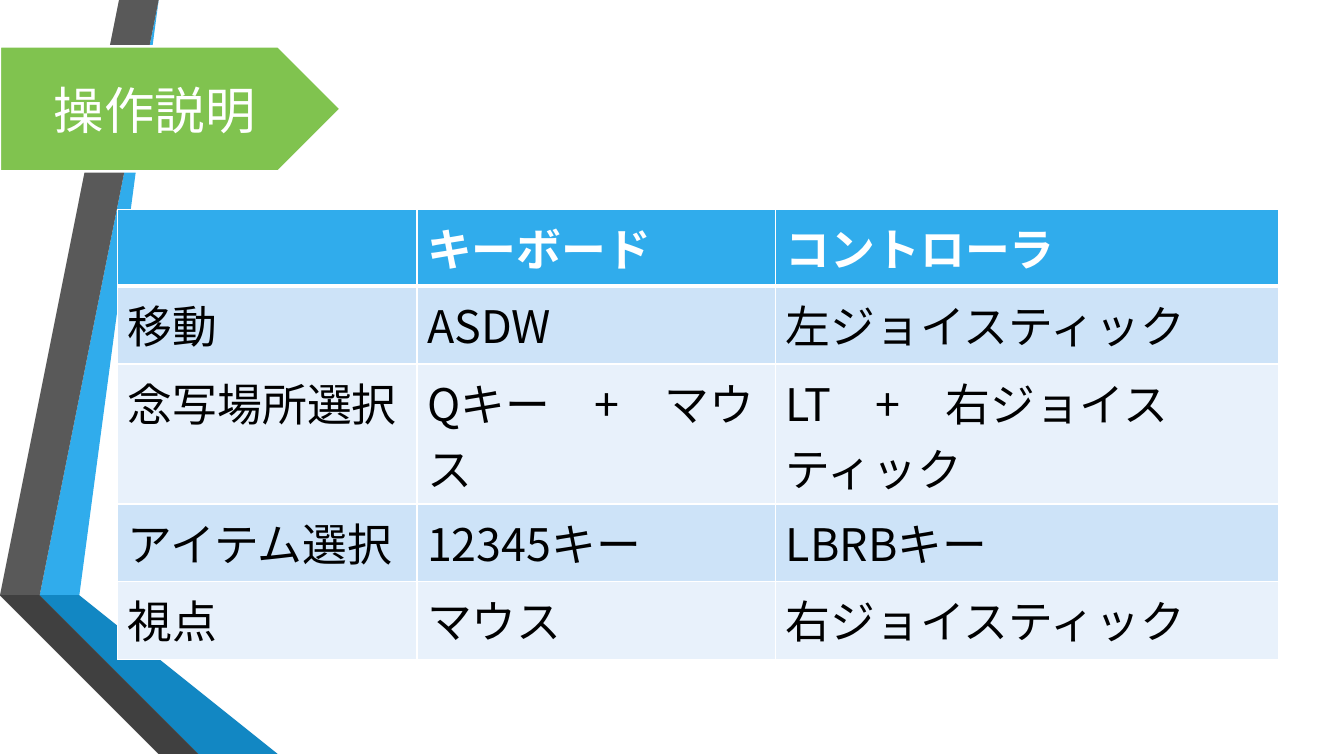
"""Build the slide that explains the keyboard and controller operations."""
from dataclasses import dataclass

from lxml.etree import SubElement
from pptx import Presentation
from pptx.dml.color import RGBColor
from pptx.enum.lang import MSO_LANGUAGE_ID
from pptx.enum.shapes import MSO_SHAPE
from pptx.enum.text import MSO_ANCHOR, PP_ALIGN
from pptx.oxml.ns import qn
from pptx.slide import Slide
from pptx.table import _Cell
from pptx.text.text import _Paragraph
from pptx.util import Cm, Pt

WHITE = RGBColor(0xFF, 0xFF, 0xFF)
BLACK = RGBColor(0x00, 0x00, 0x00)
BLUE = RGBColor(0x30, 0xAC, 0xEC)
MID_BLUE = RGBColor(0x12, 0x87, 0xC3)
DEEP_BLUE = RGBColor(0x0C, 0x5A, 0x82)
GREY = RGBColor(0x59, 0x59, 0x59)
DARK_GREY = RGBColor(0x40, 0x40, 0x40)
CHARCOAL = RGBColor(0x26, 0x26, 0x26)
GREEN = RGBColor(0x80, 0xC3, 0x4F)
ROW_BLUES = (RGBColor(0xCD, 0xE3, 0xF8), RGBColor(0xE8, 0xF1, 0xFB))

TITLE_FONT = "Calibri"
TABLE_FONT = "Noto Sans CJK JP"
COLUMN_WIDTHS = (7.54, 9.04, 12.67)
HEADER_HEIGHT = 1.93
ROW_HEIGHT = 1.96
OPERATIONS = (
    ("", "キーボード", "コントローラ"),
    ("移動", "ASDW", "左ジョイスティック"),
    ("念写場所選択", "Qキー　+　マウス", "LT　+　右ジョイスティック"),
    ("アイテム選択", "12345キー", "LBRBキー"),
    ("視点", "マウス", "右ジョイスティック"),
)


@dataclass(frozen=True)
class Ribbon:
    """One folded band, its corners in centimetres."""

    color: RGBColor
    corners: tuple[tuple[float, float], ...]


RIBBONS = (
    Ribbon(BLUE, ((1.27, 14.68), (1.96, 14.81), (4.39, 0), (3.68, 0))),
    Ribbon(GREY, ((3.53, 0), (2.82, 0), (0.41, 14.55), (1.12, 14.66))),
    Ribbon(CHARCOAL, ((0.41, 14.55), (3.68, 19.05), (3.84, 19.05))),
    Ribbon(DEEP_BLUE, ((1.27, 14.71), (5.28, 19.05), (5.44, 19.05))),
    Ribbon(MID_BLUE, ((1.27, 14.68), (5.44, 19.05), (7.19, 19.05), (1.96, 14.81))),
    Ribbon(DARK_GREY, ((5.13, 19.05), (1.22, 14.81), (1.09, 14.66),
                       (0.41, 14.55), (3.84, 19.05))),
)


def style_text(paragraph: _Paragraph, name: str, size: int, color: RGBColor,
               bold: bool = False) -> None:
    """Set the font of a whole paragraph, Japanese glyphs included."""
    font = paragraph.font
    font.name, font.size, font.bold = name, Pt(size), bold
    font.color.rgb = color
    font.language_id = MSO_LANGUAGE_ID.JAPANESE
    properties = paragraph._p.get_or_add_pPr().get_or_add_defRPr()
    SubElement(properties, qn("a:ea"), typeface=TABLE_FONT)


def draw_ribbon(slide: Slide, ribbon: Ribbon) -> None:
    """Draw one band of the folded decoration."""
    start, *others = ribbon.corners
    builder = slide.shapes.build_freeform(*start, scale=Cm(1))
    builder.add_line_segments(others, close=True)
    band = builder.convert_to_shape()
    band.shadow.inherit = False
    band.fill.solid()
    band.fill.fore_color.rgb = ribbon.color
    band.line.fill.background()


def draw_title(slide: Slide) -> None:
    """Draw the green title arrow."""
    title = slide.shapes.add_shape(MSO_SHAPE.PENTAGON, Cm(0), Cm(1.17), Cm(8.59), Cm(3.15))
    title.shadow.inherit = False
    title.fill.solid()
    title.fill.fore_color.rgb = GREEN
    title.line.color.rgb = WHITE
    title.line.width = Pt(1.75)
    title.text_frame.text = "操作説明"
    title.text_frame.vertical_anchor = MSO_ANCHOR.MIDDLE
    paragraph = title.text_frame.paragraphs[0]
    paragraph.alignment = PP_ALIGN.CENTER
    style_text(paragraph, TITLE_FONT, 36, WHITE)


def add_borders(cell: _Cell, top: int, bottom: int) -> None:
    """Give a cell white borders, with top and bottom widths in points."""
    properties = cell._tc.get_or_add_tcPr()
    for side, width in (("L", 1), ("R", 1), ("T", top), ("B", bottom)):
        border = SubElement(properties, qn(f"a:ln{side}"), w=str(Pt(width)))
        fill = SubElement(border, qn("a:solidFill"))
        SubElement(fill, qn("a:srgbClr"), val=str(WHITE))


def draw_operations(slide: Slide) -> None:
    """Draw the table of operations."""
    height = HEADER_HEIGHT + ROW_HEIGHT * (len(OPERATIONS) - 1)
    table = slide.shapes.add_table(
        len(OPERATIONS), len(COLUMN_WIDTHS), Cm(2.97), Cm(5.28),
        Cm(sum(COLUMN_WIDTHS)), Cm(height)).table
    for column, width in zip(table.columns, COLUMN_WIDTHS):
        column.width = Cm(width)
    for index, operation in enumerate(OPERATIONS):
        is_header = index == 0
        table.rows[index].height = Cm(HEADER_HEIGHT if is_header else ROW_HEIGHT)
        for cell, label in zip(table.rows[index].cells, operation):
            add_borders(cell, 3 if index == 1 else 1, 3 if is_header else 1)
            cell.fill.solid()
            cell.fill.fore_color.rgb = BLUE if is_header else ROW_BLUES[(index - 1) % 2]
            cell.text = label
            style_text(cell.text_frame.paragraphs[0], TABLE_FONT, 32,
                       WHITE if is_header else BLACK, is_header)


def main() -> None:
    """Create and save the presentation."""
    presentation = Presentation()
    presentation.slide_width, presentation.slide_height = Cm(33.87), Cm(19.05)
    slide = presentation.slides.add_slide(presentation.slide_layouts[6])
    for ribbon in RIBBONS:
        draw_ribbon(slide, ribbon)
    draw_title(slide)
    draw_operations(slide)
    presentation.save("out.pptx")


if __name__ == "__main__":
    main()
